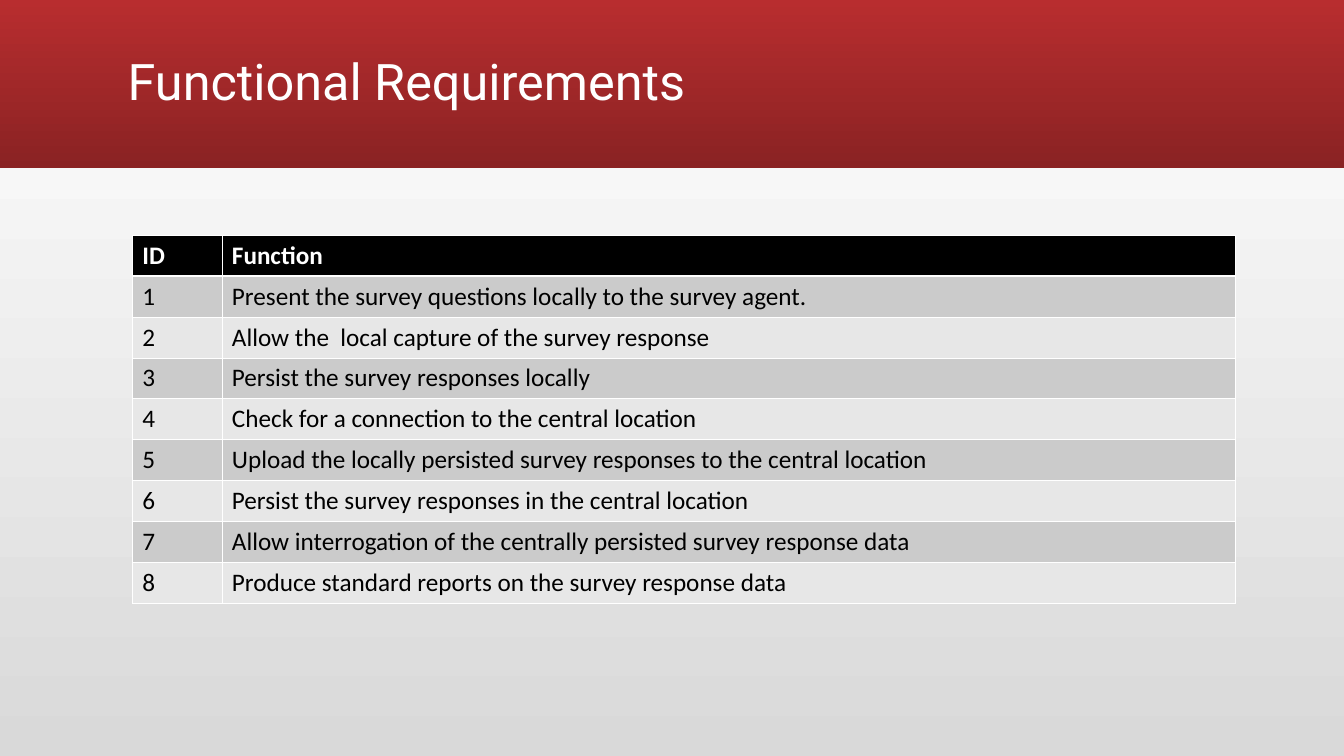
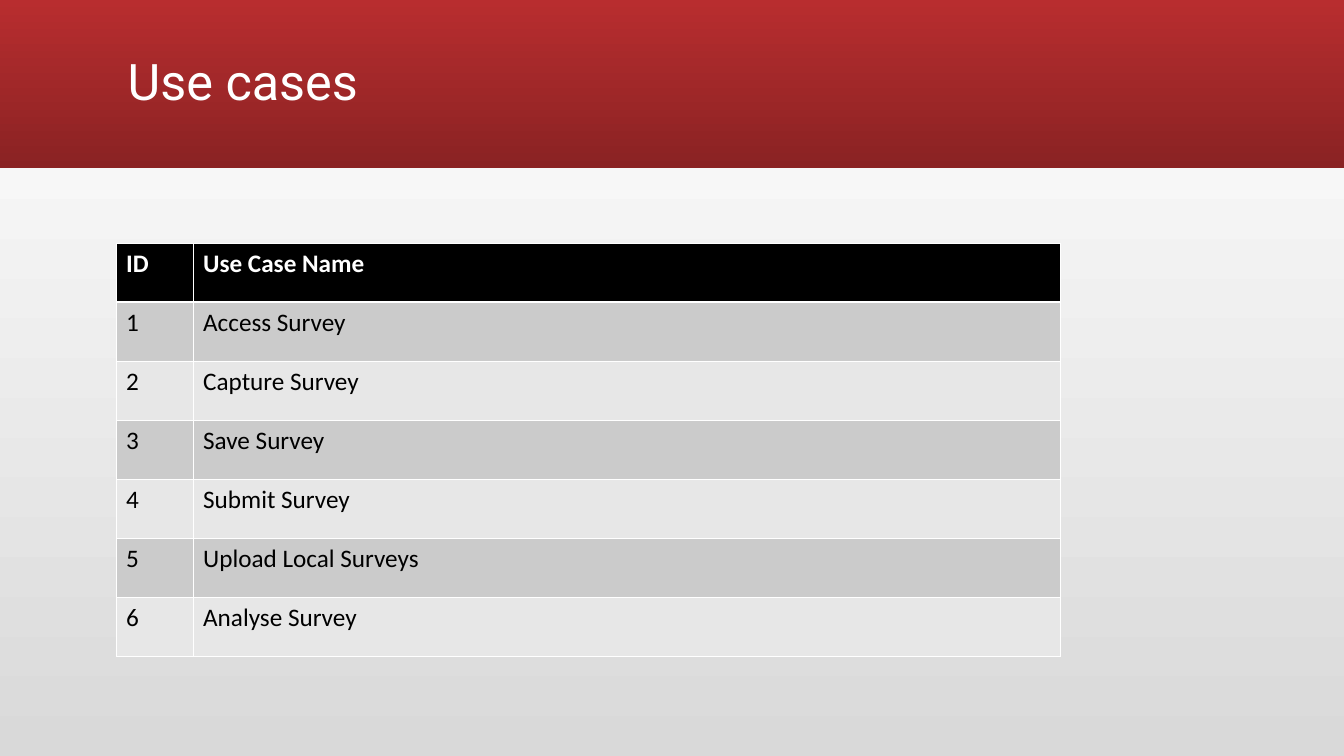
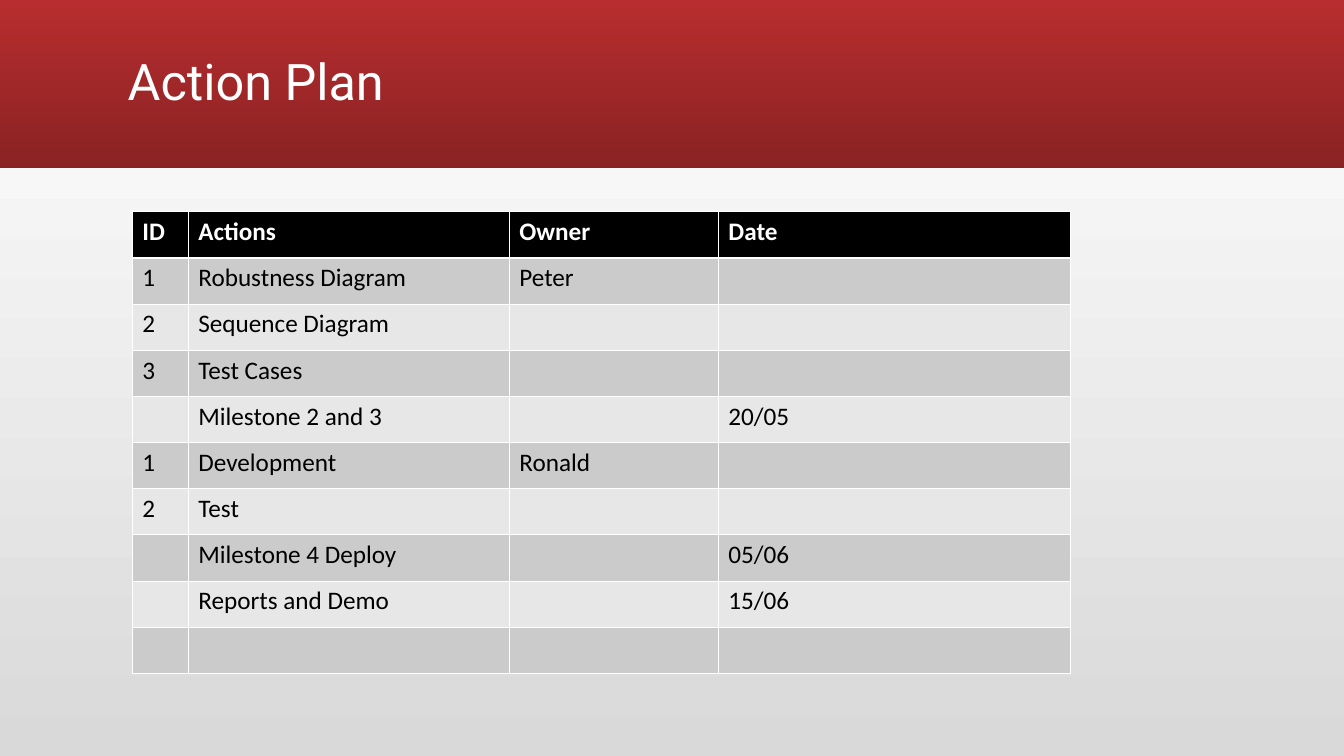
"""Build three survey project slides: requirements, use cases and action plan."""
from dataclasses import dataclass

from lxml.etree import SubElement
from pptx import Presentation
from pptx.dml.color import RGBColor
from pptx.dml.fill import FillFormat
from pptx.enum.shapes import MSO_SHAPE
from pptx.enum.text import MSO_ANCHOR
from pptx.oxml.ns import qn
from pptx.presentation import Presentation as PresentationType
from pptx.slide import Slide
from pptx.table import _Cell
from pptx.util import Pt

COLOURS = {
    "band_top": "B82D2F",
    "band_bottom": "8A2223",
    "page_top": "FFFFFF",
    "page_bottom": "D9D9D9",
    "header": "000000",
    "odd_row": "CBCBCB",
    "even_row": "E7E7E7",
    "light": "FFFFFF",
    "dark": "000000",
}
TITLE_FONT, TABLE_FONT = "Roboto", "Calibri"
THIN_BORDER, HEADER_BORDER = 0.45, 1.47
DOWNWARD, UPWARD = 270, 90


@dataclass(frozen=True)
class TableSlide:
    """A titled slide with one table, measured in points."""

    title: str
    left: float
    top: float
    row_height: float
    column_widths: tuple[float, ...]
    rows: tuple[tuple[str, ...], ...]


def numbered(heading: str, *entries: str) -> tuple[tuple[str, ...], ...]:
    """Return a header row and entries numbered from one."""
    return (("ID", heading), *((str(number), entry) for number, entry in enumerate(entries, 1)))


SLIDES = (
    TableSlide(
        "Functional Requirements", 94.6, 168, 29.2, (64, 724.4),
        numbered(
            "Function",
            "Present the survey questions locally to the survey agent.",
            "Allow the  local capture of the survey response",
            "Persist the survey responses locally",
            "Check for a connection to the central location",
            "Upload the locally persisted survey responses to the central location",
            "Persist the survey responses in the central location",
            "Allow interrogation of the centrally persisted survey response data",
            "Produce standard reports on the survey response data",
        ),
    ),
    TableSlide(
        "Use cases", 83, 173.8, 42.15, (55, 620),
        numbered(
            "Use Case Name",
            "Access Survey",
            "Capture Survey",
            "Save Survey",
            "Submit Survey",
            "Upload Local Surveys",
            "Analyse Survey",
        ),
    ),
    TableSlide(
        "Action Plan", 94.6, 151, 33, (40, 229.4, 149.4, 251.6),
        (
            ("ID", "Actions", "Owner", "Date"),
            ("1", "Robustness Diagram", "Peter", ""),
            ("2", "Sequence Diagram", "", ""),
            ("3", "Test Cases", "", ""),
            ("", "Milestone 2 and 3", "", "20/05"),
            ("1", "Development", "Ronald", ""),
            ("2", "Test", "", ""),
            ("", "Milestone 4 Deploy", "", "05/06"),
            ("", "Reports and Demo", "", "15/06"),
            ("", "", "", ""),
        ),
    ),
)


def colour(name: str) -> RGBColor:
    """Return the named colour."""
    return RGBColor.from_string(COLOURS[name])


def fill_gradient(fill: FillFormat, start: str, end: str, angle: float) -> None:
    """Apply a linear gradient between two named colours."""
    fill.gradient()
    fill.gradient_angle = angle
    for stop, name in zip(fill.gradient_stops, (start, end)):
        stop.color.rgb = colour(name)


def add_titled_slide(presentation: PresentationType, title: str) -> Slide:
    """Add a slide with the shared background, band and title."""
    slide = presentation.slides.add_slide(presentation.slide_layouts[6])
    fill_gradient(slide.background.fill, "page_bottom", "page_top", UPWARD)

    band = slide.shapes.add_shape(MSO_SHAPE.RECTANGLE, 0, 0, presentation.slide_width, Pt(120))
    band.shadow.inherit = False
    band.line.fill.background()
    fill_gradient(band.fill, "band_top", "band_bottom", DOWNWARD)

    frame = slide.shapes.add_textbox(Pt(84.2), Pt(8), Pt(792), Pt(104.4)).text_frame
    frame.word_wrap = True
    frame.vertical_anchor = MSO_ANCHOR.MIDDLE
    paragraph = frame.paragraphs[0]
    paragraph.text = title
    paragraph.line_spacing = 0.9
    paragraph.font.name = TITLE_FONT
    paragraph.font.size = Pt(36)
    paragraph.font.color.rgb = colour("light")
    return slide


def set_borders(cell: _Cell, top: float, bottom: float) -> None:
    """Draw light borders around a cell."""
    properties = cell._tc.get_or_add_tcPr()
    widths = {"a:lnL": THIN_BORDER, "a:lnR": THIN_BORDER, "a:lnT": top, "a:lnB": bottom}
    for tag, width in widths.items():
        line = SubElement(properties, qn(tag), w=str(Pt(width)))
        solid = SubElement(line, qn("a:solidFill"))
        SubElement(solid, qn("a:srgbClr"), val=COLOURS["light"])


def style_cell(cell: _Cell, text: str, row_index: int) -> None:
    """Write a cell and style it by its row."""
    is_header = row_index == 0
    set_borders(
        cell,
        top=HEADER_BORDER if row_index == 1 else THIN_BORDER,
        bottom=HEADER_BORDER if is_header else THIN_BORDER,
    )
    cell.fill.solid()
    row_colour = "odd_row" if row_index % 2 else "even_row"
    cell.fill.fore_color.rgb = colour("header" if is_header else row_colour)
    paragraph = cell.text_frame.paragraphs[0]
    if text:
        paragraph.text = text
    paragraph.font.name = TABLE_FONT
    paragraph.font.size = Pt(18)
    paragraph.font.bold = is_header
    paragraph.font.color.rgb = colour("light" if is_header else "dark")


def add_table(slide: Slide, content: TableSlide) -> None:
    """Add the table of a slide."""
    row_count = len(content.rows)
    table = slide.shapes.add_table(
        row_count, len(content.column_widths),
        Pt(content.left), Pt(content.top),
        Pt(sum(content.column_widths)), Pt(content.row_height * row_count),
    ).table
    for column, width in zip(table.columns, content.column_widths):
        column.width = Pt(width)
    for row_index, texts in enumerate(content.rows):
        table.rows[row_index].height = Pt(content.row_height)
        for column_index, text in enumerate(texts):
            style_cell(table.cell(row_index, column_index), text, row_index)


def main() -> None:
    """Build and save the presentation."""
    presentation = Presentation()
    presentation.slide_width = Pt(960.4)
    presentation.slide_height = Pt(540)
    for content in SLIDES:
        add_table(add_titled_slide(presentation, content.title), content)
    presentation.save("out.pptx")


if __name__ == "__main__":
    main()
